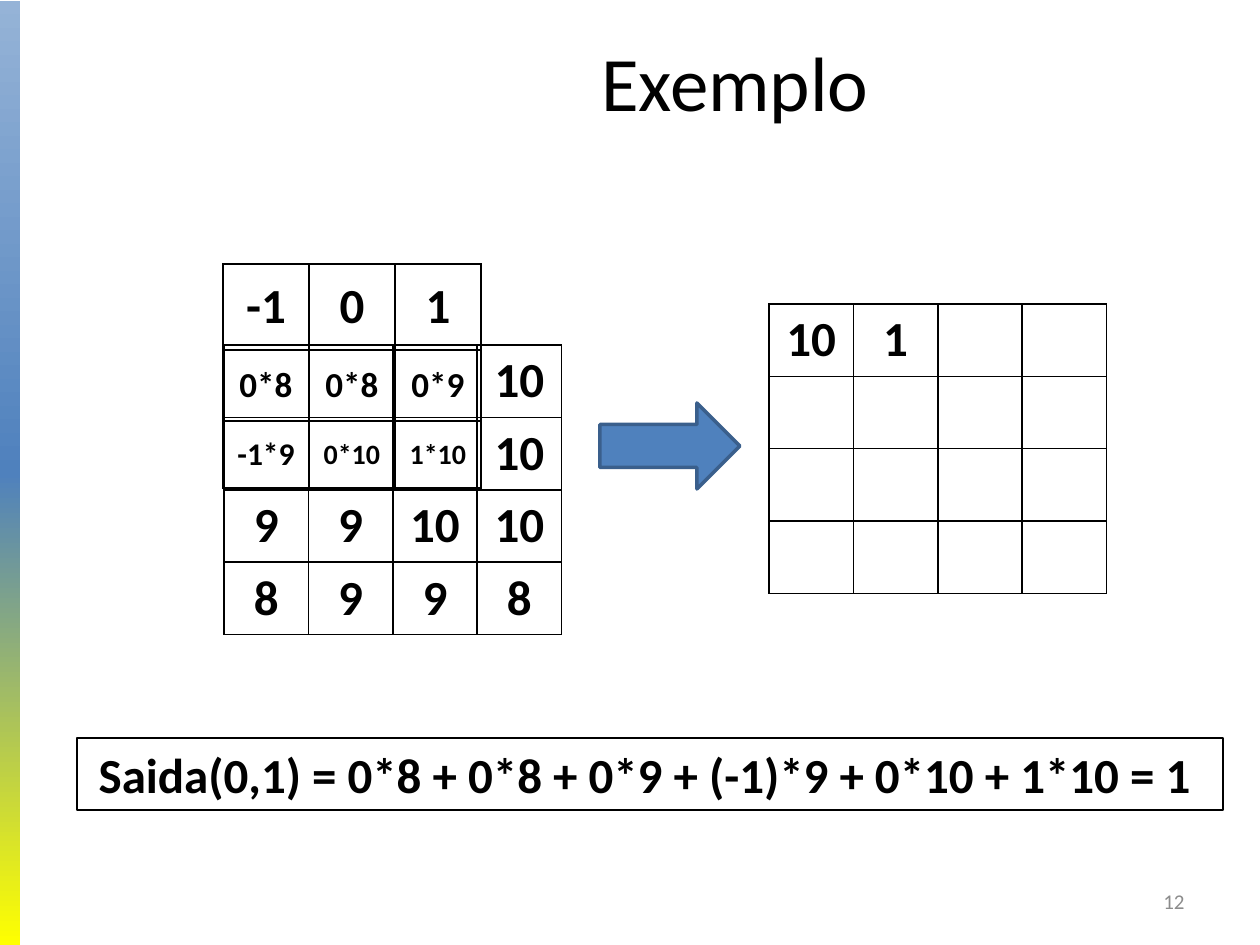
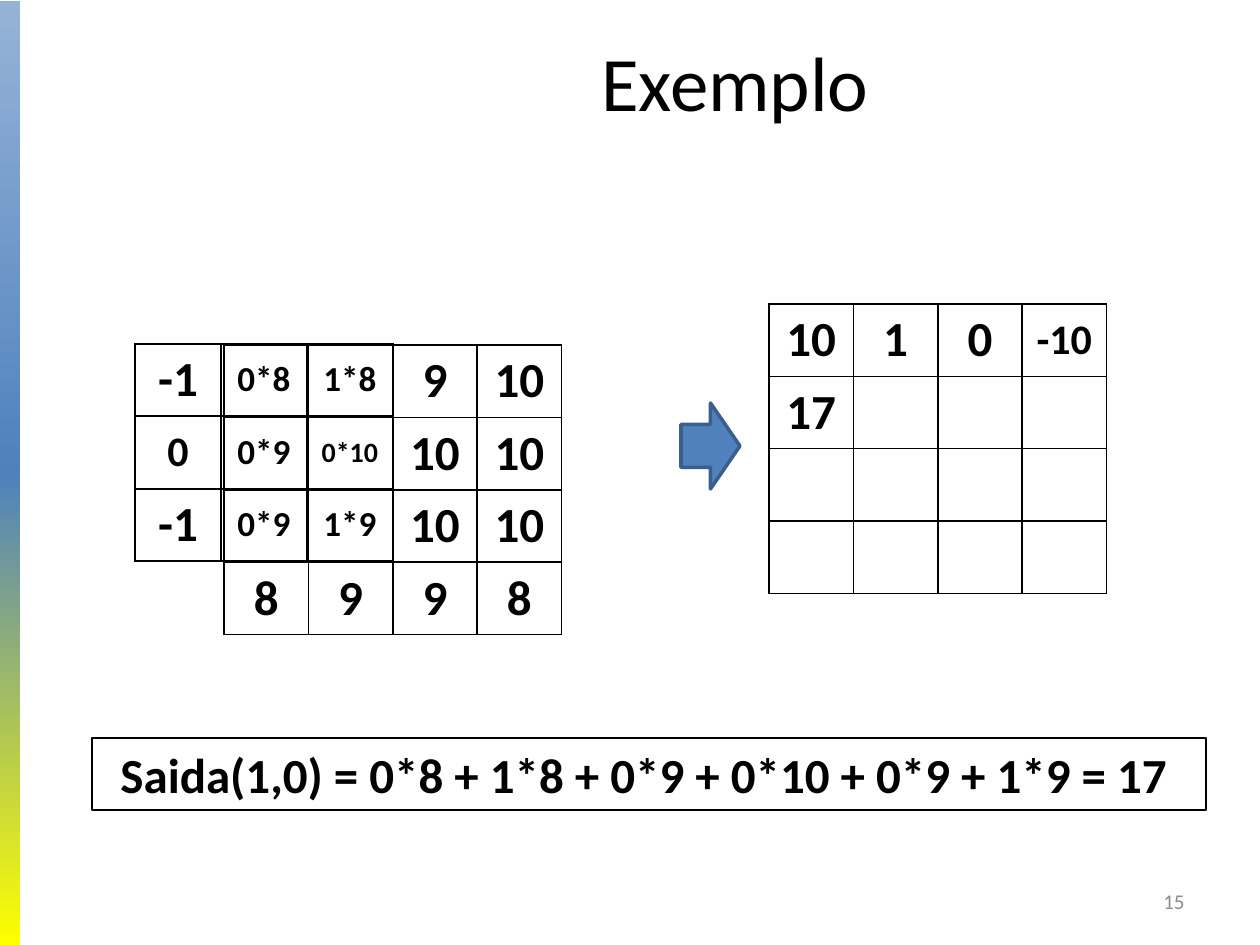
import copy
import pptx
import pptx.util
import pptx.dml.color
import pptx.enum.shapes
import pptx.enum.text
import pptx.oxml
import pptx.oxml.ns

# Content: a cell is its text, or (text, size) where it is not 28 points
TITLE = "Exemplo"
FONT = "Calibri"
BLACK, GREY, BLUE, DARK_BLUE = "000000", "8C8C8C", "4F81BD", "3A5F8C"
BAND_STOPS = [(0, "95B3D7"), (0.5, BLUE), (1, "FFFF00")]
LAST_ROW = ["8", "9", "9", "8"]
EMPTY_ROW = [""] * 4

STEPS = [
    {
        "number": "12",
        "image": [["", "", "", "10"], ["", "", "", "10"],
                  ["9", "9", "10", "10"], LAST_ROW],
        "mask": [["-1", "0", "1"],
                 [("0*8", 20), ("0*8", 20), ("0*9", 20)],
                 [("-1*9", 18), ("0*10", 16), ("1*10", 16)]],
        "mask_corner": (223, 264),
        "mask_rows": [86, 71, 67],
        "output": [["10", "1", "", ""], EMPTY_ROW, EMPTY_ROW, EMPTY_ROW],
        "arrow_left": 600,
        "formula": "Saida(0,1) = 0*8 + 0*8 + 0*9 + (-1)*9 + 0*10 + 1*10 = 1 ",
        "formula_span": (77, 1146),
    },
    {
        "number": "15",
        "image": [["", "", "9", "10"], ["", "", "10", "10"],
                  ["", "", "10", "10"], LAST_ROW],
        "mask": [["-1", ("0*8", 20), ("1*8", 20)],
                 [("0", 24), ("0*9", 20), ("0*10", 16)],
                 ["-1", ("0*9", 20), ("1*9", 20)]],
        "mask_corner": (135, 344),
        "mask_rows": [72, 73, 72],
        "output": [["10", "1", "0", ("-10", 24)], ["17", "", "", ""],
                   EMPTY_ROW, EMPTY_ROW],
        "arrow_left": 681,
        "formula": "Saida(1,0) = 0*8 + 1*8 + 0*9 + 0*10 + 0*9 + 1*9 = 17 ",
        "formula_span": (92, 1114),
    },
]

# Places, in pixels
IMAGE_CORNER, OUTPUT_CORNER = (224, 345), (769, 304)
GRID_COLUMN, GRID_ROW, MASK_COLUMN = 84.4, 72.4, 86
ARROW_TOP, ARROW_RIGHT, ARROW_HEIGHT = 403, 740, 86
FORMULA_TOP, FORMULA_HEIGHT = 738, 72

ALIGN = pptx.enum.text.PP_ALIGN
MIDDLE = pptx.enum.text.MSO_ANCHOR.MIDDLE
SHAPE = pptx.enum.shapes.MSO_SHAPE


def px(length):
    return pptx.util.Emu(round(length * 914400 / 126))


def rgb(color):
    return pptx.dml.color.RGBColor.from_string(color)


def write(frame, text, size, bold=False, color=BLACK, align=ALIGN.CENTER):
    paragraph = frame.paragraphs[0]
    paragraph.alignment = align
    run = paragraph.add_run()
    run.text = text
    run.font.name = FONT
    run.font.size = pptx.util.Pt(size)
    run.font.bold = bold
    run.font.color.rgb = rgb(color)


def add_box(slide, kind, left, top, width, height, fill=None, line=None, weight=1):
    box = slide.shapes.add_shape(kind, px(left), px(top), px(width), px(height))
    box.shadow.inherit = False
    if fill:
        box.fill.solid()
        box.fill.fore_color.rgb = rgb(fill)
    else:
        box.fill.background()
    if line:
        box.line.color.rgb = rgb(line)
        box.line.width = pptx.util.Pt(weight)
    else:
        box.line.fill.background()
    return box


def add_borders(cell):
    properties = cell._tc.get_or_add_tcPr()
    for index, side in enumerate(("lnL", "lnR", "lnT", "lnB")):
        properties.insert(index, pptx.oxml.parse_xml(
            f'<a:{side} {pptx.oxml.ns.nsdecls("a")} w="12700"><a:solidFill>'
            f'<a:srgbClr val="{BLACK}"/></a:solidFill></a:{side}>'))


def add_matrix(slide, rows, corner, column_width, row_heights):
    columns = len(rows[0])
    table = slide.shapes.add_table(
        len(rows), columns, px(corner[0]), px(corner[1]),
        px(column_width * columns), px(sum(row_heights))).table
    table.first_row = table.horz_banding = False
    for column in table.columns:
        column.width = px(column_width)
    for row, height, values in zip(table.rows, row_heights, rows):
        row.height = px(height)
        for cell, value in zip(row.cells, values):
            text, size = value if isinstance(value, tuple) else (value, 28)
            cell.fill.background()
            cell.vertical_anchor = MIDDLE
            add_borders(cell)
            if text:
                write(cell.text_frame, text, size, bold=True)


def add_band(slide, layout):
    """Draw the gradient band and move it behind everything on the layout."""
    band = add_box(slide, SHAPE.RECTANGLE, -5, 1, 25, 945)
    band.fill.gradient()
    band.fill.gradient_angle = 270
    stop_list = band.element.find(".//" + pptx.oxml.ns.qn("a:gsLst"))
    stop_list.append(copy.deepcopy(stop_list[0]))
    for stop, (position, color) in zip(band.fill.gradient_stops, BAND_STOPS):
        stop.position = position
        stop.color.rgb = rgb(color)
    layout.shapes.element.insert(2, band.element)


def add_step(deck, layout, step):
    slide = deck.slides.add_slide(layout)

    # Title and slide number
    title = slide.shapes.title
    title.left, title.top, title.width, title.height = map(px, (273, 16, 924, 130))
    title.text_frame.vertical_anchor = MIDDLE
    write(title.text_frame, TITLE, 44)
    number = slide.shapes.add_textbox(px(903), px(876), px(294), px(50)).text_frame
    number.word_wrap = True
    number.vertical_anchor = MIDDLE
    write(number, step["number"], 12, color=GREY, align=ALIGN.RIGHT)

    # Image, mask laid over it, and output
    add_matrix(slide, step["image"], IMAGE_CORNER, GRID_COLUMN, [GRID_ROW] * 4)
    add_matrix(slide, step["mask"], step["mask_corner"], MASK_COLUMN, step["mask_rows"])
    add_matrix(slide, step["output"], OUTPUT_CORNER, GRID_COLUMN, [GRID_ROW] * 4)

    # Arrow from image to output
    add_box(slide, SHAPE.RIGHT_ARROW, step["arrow_left"], ARROW_TOP,
            ARROW_RIGHT - step["arrow_left"], ARROW_HEIGHT, BLUE, DARK_BLUE, 2)

    # Formula
    left, width = step["formula_span"]
    formula = add_box(slide, SHAPE.RECTANGLE, left, FORMULA_TOP, width,
                      FORMULA_HEIGHT, line=BLACK, weight=0.75).text_frame
    formula.word_wrap = False
    formula.vertical_anchor = MIDDLE
    write(formula, step["formula"], 28, bold=True)
    return slide


deck = pptx.Presentation()
deck.slide_width, deck.slide_height = px(1260), px(945)
title_only = deck.slide_layouts[5]
slides = [add_step(deck, title_only, step) for step in STEPS]
add_band(slides[0], title_only)
deck.save("out.pptx")
